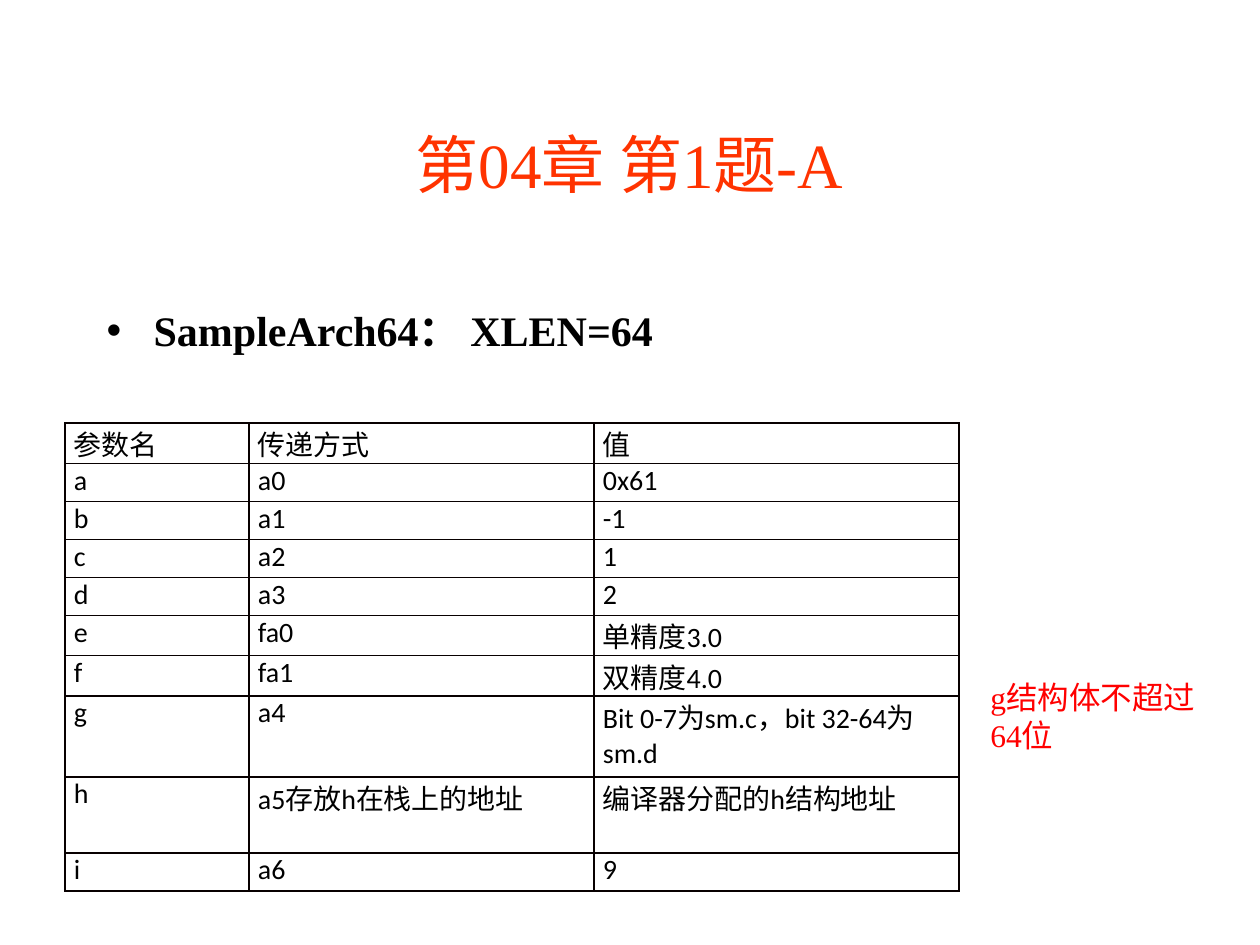
from dataclasses import dataclass

from lxml import etree
from pptx import Presentation
from pptx.dml.color import RGBColor
from pptx.enum.text import MSO_ANCHOR, MSO_AUTO_SIZE, PP_ALIGN
from pptx.oxml.ns import qn
from pptx.util import Pt

CENTER = PP_ALIGN.CENTER
LEFT = PP_ALIGN.LEFT
MIDDLE = MSO_ANCHOR.MIDDLE
TOP = MSO_ANCHOR.TOP
GROW = MSO_AUTO_SIZE.SHAPE_TO_FIT_TEXT
TITLE_AND_CONTENT = 1
EMU_PER_PX = 914400 / 126


@dataclass(frozen=True)
class Theme:
    serif: str = "Times New Roman"
    sans: str = "Calibri"
    title_color: str = "FF3300"
    text_color: str = "000000"
    note_color: str = "FF0000"
    border_color: str = "080000"
    title_size: int = 36
    body_size: int = 24
    note_size: int = 18
    table_size: int = 16
    border_width: int = 1


THEME = Theme()

COLUMN_WIDTHS = [184, 345, 365]
ROW_HEIGHT = 38
TALL_ROWS = {"g", "h"}
ARGUMENTS = [
    ("参数名", "传递方式", "值"),
    ("a", "a0", "0x61"),
    ("b", "a1", "-1"),
    ("c", "a2", "1"),
    ("d", "a3", "2"),
    ("e", "fa0", "单精度3.0"),
    ("f", "fa1", "双精度4.0"),
    ("g", "a4", "Bit 0-7为sm.c，bit 32-64为sm.d"),
    ("h", "a5存放h在栈上的地址", "编译器分配的h结构地址"),
    ("i", "a6", "9"),
]


def px(length):
    return round(length * EMU_PER_PX)


def place(shape, left, top, width, height):
    shape.left, shape.top = px(left), px(top)
    shape.width, shape.height = px(width), px(height)


def write_text(frame, text, *, size, font=THEME.serif, color=THEME.text_color,
               bold=False, align=LEFT, line_spacing=None):
    """Write one formatted paragraph and return it."""
    paragraph = frame.paragraphs[0]
    paragraph.alignment = align
    paragraph.line_spacing = line_spacing
    run = paragraph.add_run()
    run.text = text
    run.font.name = font
    run.font.size = Pt(size)
    run.font.bold = bold
    run.font.color.rgb = RGBColor.from_string(color)
    return paragraph


def add_bullet(paragraph, indent):
    properties = paragraph._p.get_or_add_pPr()
    properties.set("marL", str(px(indent)))
    properties.set("indent", str(-px(indent)))
    etree.SubElement(properties, qn("a:buChar"), char="•")


def add_borders(cell):
    properties = cell._tc.get_or_add_tcPr()
    for side in ("lnL", "lnR", "lnT", "lnB"):
        line = etree.SubElement(properties, qn(f"a:{side}"),
                                w=str(Pt(THEME.border_width)))
        fill = etree.SubElement(line, qn("a:solidFill"))
        etree.SubElement(fill, qn("a:srgbClr"), val=THEME.border_color)


def fill_title(slide):
    title = slide.shapes.title
    place(title, 94, 84, 1071, 158)
    title.text_frame.vertical_anchor = MIDDLE
    write_text(title.text_frame, "第04章 第1题-A", size=THEME.title_size,
               color=THEME.title_color, align=CENTER)


def fill_body(slide):
    body = slide.placeholders[1]
    place(body, 94, 273, 1071, 567)
    paragraph = write_text(body.text_frame, "SampleArch64： XLEN=64",
                           size=THEME.body_size, bold=True, line_spacing=1.5)
    add_bullet(paragraph, 47)


def format_cell(cell, text):
    cell.margin_left = cell.margin_right = px(9)
    cell.margin_top = cell.margin_bottom = 0
    cell.vertical_anchor = TOP
    add_borders(cell)
    cell.fill.background()
    write_text(cell.text_frame, text, size=THEME.table_size, font=THEME.sans)


def add_argument_table(slide):
    heights = [ROW_HEIGHT * (2 if row[0] in TALL_ROWS else 1)
               for row in ARGUMENTS]
    table = slide.shapes.add_table(
        len(ARGUMENTS), len(COLUMN_WIDTHS), px(65), px(423),
        px(sum(COLUMN_WIDTHS)), px(sum(heights))).table
    table.first_row = table.horz_banding = False
    for column, width in zip(table.columns, COLUMN_WIDTHS):
        column.width = px(width)
    for row, height, texts in zip(table.rows, heights, ARGUMENTS):
        row.height = px(height)
        for cell, text in zip(row.cells, texts):
            format_cell(cell, text)


def add_note(slide):
    note = slide.shapes.add_textbox(px(978), px(672), px(257), px(88))
    note.text_frame.word_wrap = True
    note.text_frame.auto_size = GROW
    write_text(note.text_frame, "g结构体不超过64位", size=THEME.note_size,
               color=THEME.note_color)


def main():
    presentation = Presentation()
    presentation.slide_width = px(1260)
    presentation.slide_height = px(945)
    layout = presentation.slide_layouts[TITLE_AND_CONTENT]
    slide = presentation.slides.add_slide(layout)
    fill_title(slide)
    fill_body(slide)
    add_argument_table(slide)
    add_note(slide)
    presentation.save("out.pptx")


if __name__ == "__main__":
    main()
